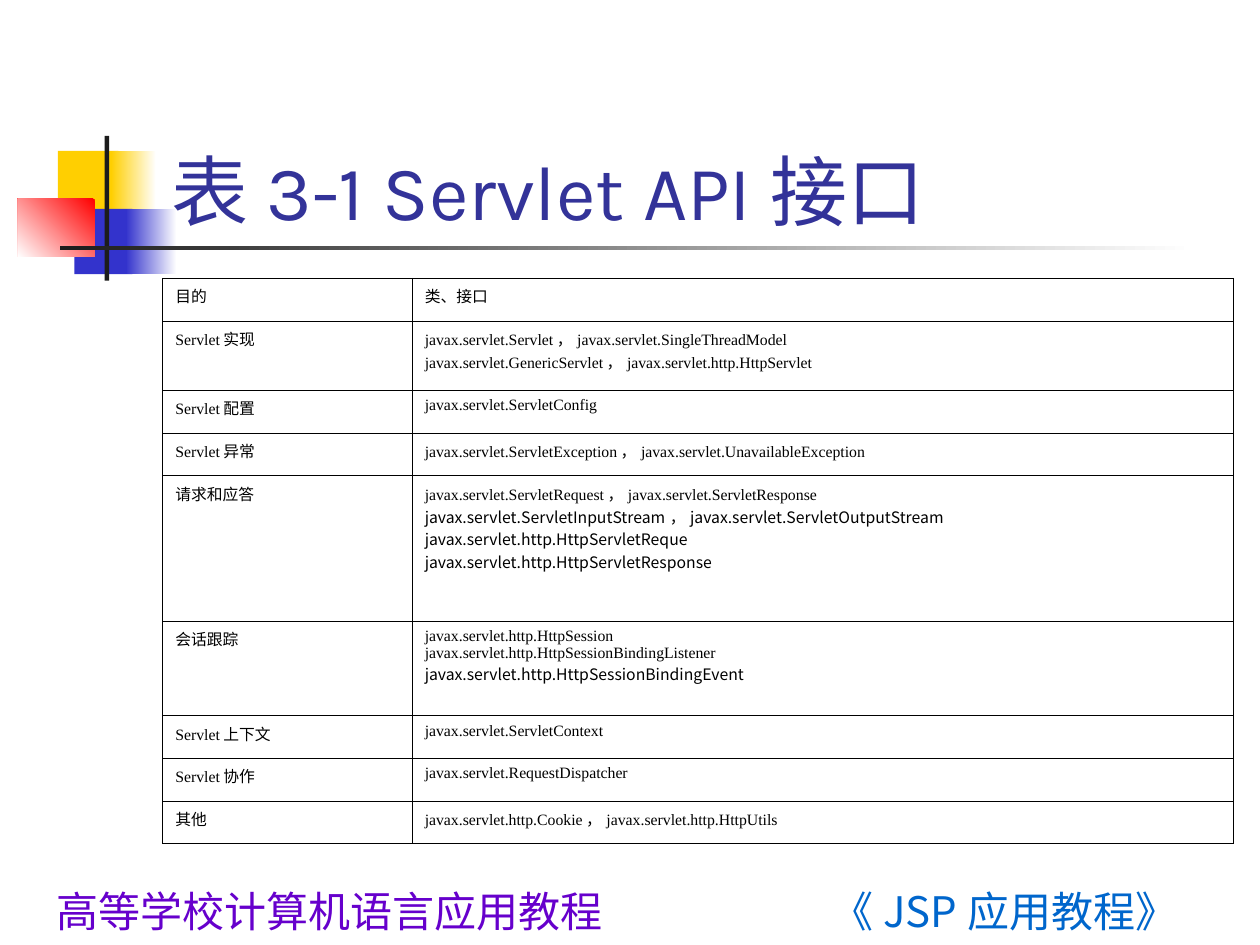
from lxml.etree import SubElement
from pptx import Presentation
from pptx.dml.color import RGBColor
from pptx.enum.shapes import MSO_SHAPE as Shape
from pptx.enum.text import MSO_ANCHOR as Anchor
from pptx.oxml.ns import qn
from pptx.util import Cm, Pt

COLORS = {
    "white": "FFFFFF", "black": "000000", "yellow": "FFCF01",
    "blue": "3333CC", "red": "FF0000", "bar": "1C1C1C", "title": "333399",
    "book": "0066CC", "series": "6600CC", "series_end": "CC00CC",
}
SANS = "Noto Sans CJK SC"
SERIF = "Times New Roman"
TITLE_FONT = "Karla"

ORNAMENT_PARTS = [
    (0.81, 0.3, 1.22, 1.32, ["yellow"], 0),
    (1.88, 0.3, 0.91, 1.32, ["white", "yellow"], 180),
    (1.14, 1.47, 1.17, 1.32, ["blue"], 0),
    (2.18, 1.47, 1.02, 1.32, ["white", "blue"], 180),
    (0, 1.27, 1.55, 1.17, ["red", "white"], 225),
    (1.75, 0, 0.09, 2.92, ["bar"], 0),
    (0.86, 2.21, 22.86, 0.09, ["white", "bar"], 180),
]

COLUMN_SHARES = [1.98, 6.52]
API_ROWS = [
    (0.86, "目的", [("类、接口", SERIF)]),
    (1.4, "Servlet实现", [
        ("javax.servlet.Servlet，javax.servlet.SingleThreadModel", SERIF),
        ("javax.servlet.GenericServlet，javax.servlet.http.HttpServlet", SERIF),
    ]),
    (0.86, "Servlet配置", [("javax.servlet.ServletConfig", SERIF)]),
    (0.86, "Servlet异常", [
        ("javax.servlet.ServletException，javax.servlet.UnavailableException", SERIF),
    ]),
    (2.93, "请求和应答", [
        ("javax.servlet.ServletRequest，javax.servlet.ServletResponse", SERIF),
        ("javax.servlet.ServletInputStream，javax.servlet.ServletOutputStream", SANS),
        ("javax.servlet.http.HttpServletReque", SANS),
        ("javax.servlet.http.HttpServletResponse", SANS),
    ]),
    (1.91, "会话跟踪", [
        ("javax.servlet.http.HttpSession", SERIF),
        ("javax.servlet.http.HttpSessionBindingListener", SERIF),
        ("javax.servlet.http.HttpSessionBindingEvent", SANS),
    ]),
    (0.86, "Servlet上下文", [("javax.servlet.ServletContext", SERIF)]),
    (0.86, "Servlet协作", [("javax.servlet.RequestDispatcher", SERIF)]),
    (0.86, "其他", [("javax.servlet.http.Cookie，javax.servlet.http.HttpUtils", SERIF)]),
]


def rgb(name):
    return RGBColor.from_string(COLORS[name])


def paint(fill, names, angle=0):
    if len(names) == 1:
        fill.solid()
        fill.fore_color.rgb = rgb(names[0])
        return
    fill.gradient()
    fill.gradient_angle = angle
    for stop, name in zip(fill.gradient_stops, names):
        stop.color.rgb = rgb(name)


def add_run(paragraph, text, font_name, size, names, angle=0):
    run = paragraph.add_run()
    run.text = text
    run.font.size = Pt(size)
    run.font.name = font_name
    paint(run.font.fill, names, angle)
    east_asian = SubElement(run.font._element, qn("a:ea"))
    east_asian.set("typeface", SANS)


def add_ornament(slide, left, top):
    for x, y, width, height, names, angle in ORNAMENT_PARTS:
        shape = slide.shapes.add_shape(
            Shape.RECTANGLE, Cm(left + x), Cm(top + y), Cm(width), Cm(height))
        shape.shadow.inherit = False
        shape.line.fill.background()
        paint(shape.fill, names, angle)


def add_label(slide, box, text, font_name, size, names, angle=0,
              wrap=False, anchor=Anchor.TOP):
    label = slide.shapes.add_textbox(*map(Cm, box))
    frame = label.text_frame
    frame.word_wrap = wrap
    frame.vertical_anchor = anchor
    add_run(frame.paragraphs[0], text, font_name, size, names, angle)


def add_borders(cell):
    properties = cell._tc.get_or_add_tcPr()
    for position, side in enumerate(("a:lnL", "a:lnR", "a:lnT", "a:lnB")):
        line = properties.makeelement(qn(side), {"w": str(Pt(0.45))})
        solid = SubElement(line, qn("a:solidFill"))
        SubElement(solid, qn("a:srgbClr")).set("val", COLORS["black"])
        properties.insert(position, line)


def fill_cell(cell, lines):
    cell.fill.background()
    add_borders(cell)
    frame = cell.text_frame
    for index, (text, font_name) in enumerate(lines):
        paragraph = frame.add_paragraph() if index else frame.paragraphs[0]
        properties = paragraph._p.get_or_add_pPr()
        properties.set("marL", str(Cm(0.95)))
        properties.set("indent", str(-Cm(0.95)))
        add_run(paragraph, text, font_name, 9, ["black"])


def add_api_table(slide, left, top, width):
    height = sum(row[0] for row in API_ROWS)
    table = slide.shapes.add_table(
        len(API_ROWS), len(COLUMN_SHARES),
        Cm(left), Cm(top), Cm(width), Cm(height)).table
    table.first_row = False
    table.horz_banding = False
    for column, share in zip(table.columns, COLUMN_SHARES):
        column.width = Cm(width * share / sum(COLUMN_SHARES))
    for row, (row_height, purpose, classes) in zip(table.rows, API_ROWS):
        row.height = Cm(row_height)
        fill_cell(row.cells[0], [(purpose, SERIF)])
        fill_cell(row.cells[1], classes)


def main():
    presentation = Presentation()
    presentation.slide_width = Cm(25.4)
    presentation.slide_height = Cm(19.05)
    slide = presentation.slides.add_slide(presentation.slide_layouts[6])
    paint(slide.background.fill, ["white"])
    add_ornament(slide, 0.36, 2.74)
    add_label(slide, (16.51, 17.73, 8.89, 0.71), "《JSP应用教程》",
              SANS, 24, ["book"])
    add_label(slide, (0.89, 17.73, 12.8, 1.32), "高等学校计算机语言应用教程",
              SANS, 24, ["series", "series_end"], 270)
    add_label(slide, (3.2, 1.7, 21.64, 3.18), "表3-1 Servlet API接口",
              TITLE_FONT, 44, ["title"], wrap=True, anchor=Anchor.BOTTOM)
    add_api_table(slide, 3.28, 5.61, 21.59)
    presentation.save("out.pptx")


if __name__ == "__main__":
    main()
